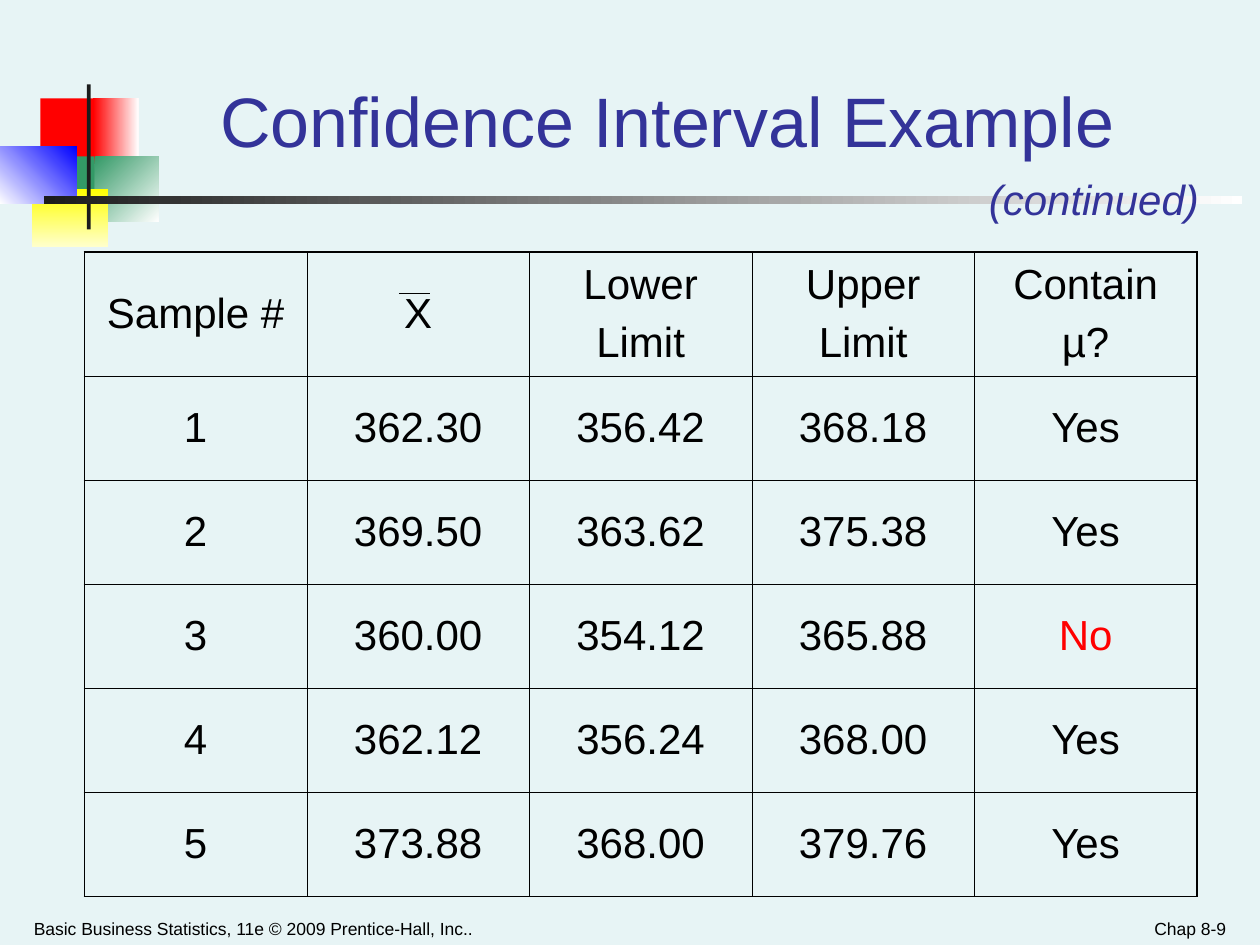
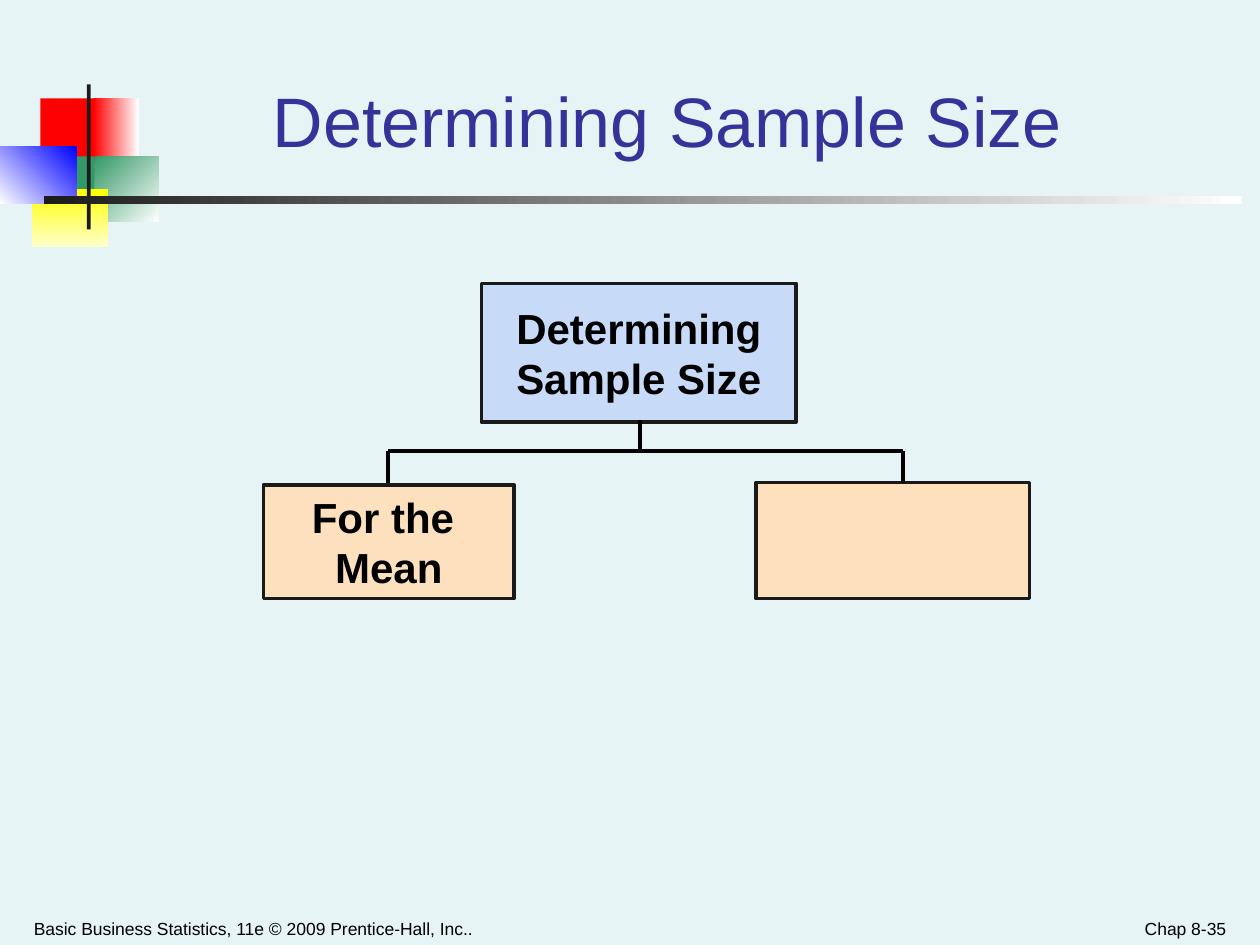
from lxml.etree import SubElement
from pptx import Presentation
from pptx.dml.color import RGBColor
from pptx.enum.shapes import MSO_CONNECTOR, MSO_SHAPE
from pptx.enum.text import MSO_ANCHOR, PP_ALIGN
from pptx.oxml.ns import qn
from pptx.util import Inches, Pt

PAPER, NAVY, INK, BLACK = "E7F4F5", "333399", "1C1C1C", "000000"
RED, GREEN, YELLOW, BLUE = "FF0000", "339966", "FFFF00", "0000FF"
WHITE, CREAM = "FFFFFF", "FFFFCC"
ROOT_FILL, LEAF_FILL, BOX_LINE = "C7DAF7", "FDE0BD", "1A1A1A"

TITLE = {"size": Pt(40)}
BODY = {"size": Pt(24)}
CONTINUED = {"size": Pt(24), "italic": True}
BOX_LABEL = {"size": Pt(24), "bold": True}
FOOTER = {"size": Pt(10)}
FOOTER_TEXT = "Basic Business Statistics, 11e © 2009 Prentice-Hall, Inc.."

EMBLEM = [
    ((0.32, 0.78, 0.48, 0.52), [RED], 0),
    ((0.74, 0.78, 0.36, 0.52), [RED, WHITE], 0),
    ((0.75, 1.24, 0.51, 0.52), [GREEN, WHITE], 45),
    ((0.43, 1.24, 0.32, 0.52), [GREEN], 0),
    ((0.25, 1.5, 0.61, 0.46), [YELLOW, CREAM], 90),
    ((0, 1.16, 0.61, 0.46), [WHITE, BLUE], 315),
    ((0.69, 0.67, 0.03, 1.15), [INK], 0),
    ((0.35, 1.56, 9.51, 0.06), [INK, WHITE], 0),
]

SAMPLES = [
    ["Sample #", "X", "Lower\nLimit", "Upper\nLimit", "Contain\nµ?"],
    ["1", "362.30", "356.42", "368.18", "Yes"],
    ["2", "369.50", "363.62", "375.38", "Yes"],
    ["3", "360.00", "354.12", "365.88", "No"],
    ["4", "362.12", "356.24", "368.00", "Yes"],
    ["5", "373.88", "368.00", "379.76", "Yes"],
]


def rgb(code):
    """Turn a hex string into a colour."""
    return RGBColor.from_string(code)


def set_all(target, values):
    """Set each named attribute of the target."""
    for name, value in values.items():
        setattr(target, name, value)


def write(tf, text, font, color=BLACK, align=PP_ALIGN.LEFT, gap=0):
    """Write one paragraph for each line of text."""
    for i, line in enumerate(text.split("\n")):
        p = tf.add_paragraph() if i else tf.paragraphs[0]
        p.alignment = align
        p.space_before = Pt(gap if i else 0)
        r = p.add_run()
        r.text = line
        set_all(r.font, {"name": "Arial", **font})
        r.font.color.rgb = rgb(color)


def add_text(s, box, text, font, color=BLACK, **options):
    """Add a text box whose text keeps to one line."""
    anchor = options.pop("anchor", MSO_ANCHOR.TOP)
    tf = s.shapes.add_textbox(*map(Inches, box)).text_frame
    set_all(tf, {"word_wrap": False, "vertical_anchor": anchor})
    write(tf, text, font, color, **options)


def add_rect(s, box, colors, angle=0):
    """Add a borderless rectangle with a solid or a clockwise gradient fill."""
    sp = s.shapes.add_shape(MSO_SHAPE.RECTANGLE, *map(Inches, box))
    sp.shadow.inherit = False
    sp.line.fill.background()
    if len(colors) == 1:
        sp.fill.solid()
        sp.fill.fore_color.rgb = rgb(colors[0])
    else:
        sp.fill.gradient()
        sp.fill.gradient_angle = (360 - angle) % 360
        for stop, color in zip(sp.fill.gradient_stops, colors):
            stop.color.rgb = rgb(color)
    return sp


def add_line(s, start, end, width):
    """Add a straight black line between two points."""
    line = s.shapes.add_connector(MSO_CONNECTOR.STRAIGHT, *map(Inches, start + end))
    line.line.color.rgb = rgb(BLACK)
    line.line.width = Pt(width)
    SubElement(line._element.spPr, qn("a:effectLst"))


def add_base(prs, title, page):
    """Add a slide with the emblem, title and footers."""
    s = prs.slides.add_slide(prs.slide_layouts[5])
    for box, colors, angle in EMBLEM:
        add_rect(s, box, colors, angle)
    sp = s.shapes.title
    left, top, width, height = map(Inches, (1.26, 0.25, 8.07, 1.08))
    set_all(sp, {"left": left, "top": top, "width": width, "height": height})
    sp.text_frame.vertical_anchor = MSO_ANCHOR.BOTTOM
    write(sp.text_frame, title, TITLE, NAVY, PP_ALIGN.CENTER)
    add_text(s, (0.17, 7.15, 5.08, 0.35), FOOTER_TEXT, FOOTER, anchor=MSO_ANCHOR.BOTTOM)
    add_text(s, (7.5, 7.15, 2.33, 0.35), page, FOOTER,
             align=PP_ALIGN.RIGHT, anchor=MSO_ANCHOR.BOTTOM)
    return s


def add_borders(cell, outer_sides):
    """Draw the four cell borders, heavier on the outer sides."""
    tc_pr = cell._tc.get_or_add_tcPr()
    for side in "LRTB":
        width = Pt(1.08 if side in outer_sides else 0.45)
        ln = SubElement(tc_pr, qn(f"a:ln{side}"), w=str(width))
        fill = SubElement(ln, qn("a:solidFill"))
        SubElement(fill, qn("a:srgbClr"), val=BLACK)


def add_sample_table(s, box, header_height):
    """Add the table of sample intervals with its X-bar."""
    left, top, width, height = box
    n_rows, n_cols = len(SAMPLES), len(SAMPLES[0])
    col_width = width / n_cols
    row_height = (height - header_height) / (n_rows - 1)
    table = s.shapes.add_table(n_rows, n_cols, *map(Inches, box)).table
    for col in table.columns:
        col.width = Inches(col_width)
    for i, row in enumerate(SAMPLES):
        table.rows[i].height = Inches(row_height if i else header_height)
        for j, text in enumerate(row):
            cell = table.cell(i, j)
            edges = {"L": j == 0, "R": j == n_cols - 1, "T": i == 0, "B": i == n_rows - 1}
            add_borders(cell, [side for side, outer in edges.items() if outer])
            cell.fill.background()
            cell.vertical_anchor = MSO_ANCHOR.MIDDLE
            write(cell.text_frame, text, BODY, RED if text == "No" else BLACK,
                  PP_ALIGN.CENTER, gap=6)
    bar_left, bar_top = left + col_width + 0.73, top + 0.33
    add_line(s, (bar_left, bar_top), (bar_left + 0.25, bar_top), 0.75)


def add_topic_box(s, box, color, text=""):
    """Add an outlined box with a centred bold label."""
    sp = add_rect(s, box, [color])
    sp.line.color.rgb = rgb(BOX_LINE)
    sp.line.width = Pt(2)
    if text:
        set_all(sp.text_frame, {"word_wrap": False, "vertical_anchor": MSO_ANCHOR.MIDDLE})
        write(sp.text_frame, text, BOX_LABEL, align=PP_ALIGN.CENTER)


def add_topic_tree(s, left, top):
    """Add the root box, its two branches and the lines between them."""
    add_topic_box(s, (left + 3.91, top + 1.58, 2.17, 0.92), LEAF_FILL)
    add_topic_box(s, (left, top + 1.6, 1.99, 0.9), LEAF_FILL, "For the \nMean")
    add_topic_box(s, (left + 1.73, top, 2.5, 1.1), ROOT_FILL, "Determining\nSample Size")
    first, stem, last = left + 0.99, left + 2.99, left + 5.08
    root_end, branch, leaf = top + 1.08, top + 1.33, top + 1.58
    add_line(s, (stem, root_end), (stem, branch), 2.25)
    add_line(s, (first, branch), (last, branch), 2.25)
    for x in (first, last):
        add_line(s, (x, branch), (x, leaf), 2.25)


def main():
    """Build and save the two slides."""
    prs = Presentation()
    set_all(prs, {"slide_width": Inches(10), "slide_height": Inches(7.5)})
    fill = prs.slide_master.background.fill
    fill.solid()
    fill.fore_color.rgb = rgb(PAPER)

    s = add_base(prs, "Confidence Interval Example", "Chap 8-9")
    add_text(s, (7.75, 1.33, 1.87, 0.5), "(continued)", CONTINUED, NAVY)
    add_sample_table(s, (0.67, 2, 8.83, 5.11), 0.98)

    s = add_base(prs, "Determining Sample Size", "Chap 8-35")
    add_topic_tree(s, 2.09, 2.25)
    prs.save("out.pptx")


if __name__ == "__main__":
    main()
